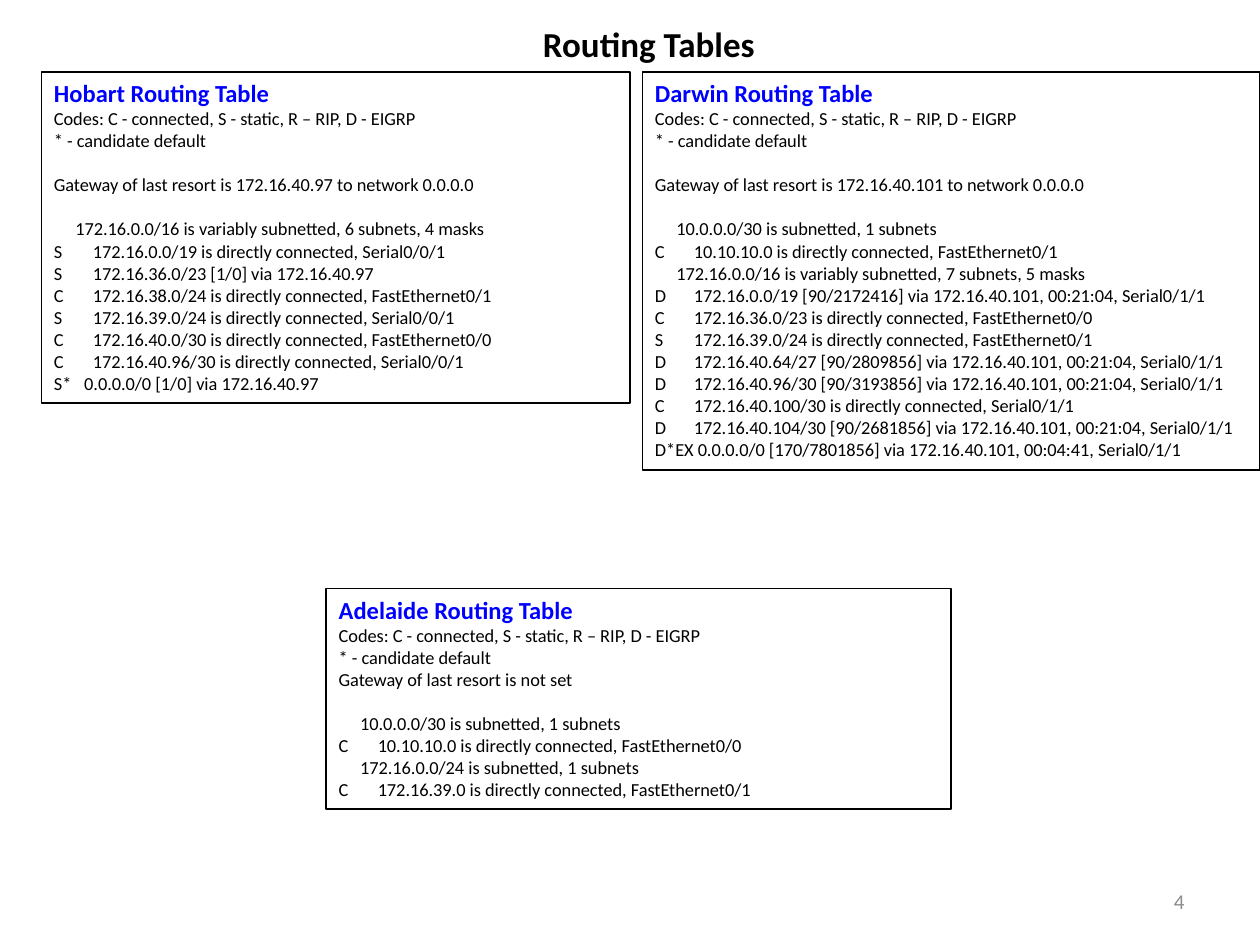
from pptx import Presentation
from pptx.dml.color import RGBColor
from pptx.enum.shapes import MSO_SHAPE
from pptx.enum.text import MSO_ANCHOR, PP_ALIGN
from pptx.util import Inches, Pt

BLACK = RGBColor(0, 0, 0)
BLUE = RGBColor(0, 0, 255)
GREY = RGBColor(0x8C, 0x8C, 0x8C)

TITLE = dict(name="Calibri", size=Pt(20), bold=True)
HEADING = dict(name="Calibri", size=Pt(14), bold=True)
BODY = dict(name="Calibri", size=Pt(10.5), bold=False)
NUMBER = dict(name="Calibri", size=Pt(12))

BLOCK_GAP = Pt(12.6)      # one body line between blocks
SUBNET_INDENT = 0.17
ROUTE_INDENTS = {"S*": 0.24}
ROUTE_INDENT = 0.31

CODES = ["Codes: C - connected, S - static, R – RIP, D - EIGRP", "* - candidate default"]

# Each table: heading, box (left, top, width, height), blocks of lines.
# "code<tab>route" is a route; a leading tab marks a subnet line.
TABLES = [
    ("Darwin Routing Table", (5.1, 0.57, 4.9, 3.16), [
        CODES,
        ["Gateway of last resort is 172.16.40.101 to network 0.0.0.0"],
        ["\t10.0.0.0/30 is subnetted, 1 subnets",
         "C\t10.10.10.0 is directly connected, FastEthernet0/1",
         "\t172.16.0.0/16 is variably subnetted, 7 subnets, 5 masks",
         "D\t172.16.0.0/19 [90/2172416] via 172.16.40.101, 00:21:04, Serial0/1/1",
         "C\t172.16.36.0/23 is directly connected, FastEthernet0/0",
         "S\t172.16.39.0/24 is directly connected, FastEthernet0/1",
         "D\t172.16.40.64/27 [90/2809856] via 172.16.40.101, 00:21:04, Serial0/1/1",
         "D\t172.16.40.96/30 [90/3193856] via 172.16.40.101, 00:21:04, Serial0/1/1",
         "C\t172.16.40.100/30 is directly connected, Serial0/1/1",
         "D\t172.16.40.104/30 [90/2681856] via 172.16.40.101, 00:21:04, Serial0/1/1",
         "D*EX 0.0.0.0/0 [170/7801856] via 172.16.40.101, 00:04:41, Serial0/1/1"],
    ]),
    ("Adelaide Routing Table", (2.59, 4.67, 4.96, 1.75), [
        CODES + ["Gateway of last resort is not set"],
        ["\t10.0.0.0/30 is subnetted, 1 subnets",
         "C\t10.10.10.0 is directly connected, FastEthernet0/0",
         "\t172.16.0.0/24 is subnetted, 1 subnets",
         "C\t172.16.39.0 is directly connected, FastEthernet0/1"],
    ]),
    ("Hobart Routing Table", (0.33, 0.57, 4.67, 2.63), [
        CODES,
        ["Gateway of last resort is 172.16.40.97 to network 0.0.0.0"],
        ["\t172.16.0.0/16 is variably subnetted, 6 subnets, 4 masks",
         "S\t172.16.0.0/19 is directly connected, Serial0/0/1",
         "S\t172.16.36.0/23 [1/0] via 172.16.40.97",
         "C\t172.16.38.0/24 is directly connected, FastEthernet0/1",
         "S\t172.16.39.0/24 is directly connected, Serial0/0/1",
         "C\t172.16.40.0/30 is directly connected, FastEthernet0/0",
         "C\t172.16.40.96/30 is directly connected, Serial0/0/1",
         "S*\t0.0.0.0/0 [1/0] via 172.16.40.97"],
    ]),
]


def write(p, text, style, color, align=PP_ALIGN.LEFT):
    r = p.add_run()
    r.text = text
    for key, value in style.items():
        setattr(r.font, key, value)
    r.font.color.rgb = color
    p.alignment = align


def set_indent(p, left, hanging):
    pPr = p._p.get_or_add_pPr()
    pPr.set("marL", str(Inches(left)))
    pPr.set("indent", str(-Inches(left) if hanging else 0))


def add_line(tf, line):
    p = tf.add_paragraph()
    code, tab, route = line.partition("\t")
    if tab and code:
        set_indent(p, ROUTE_INDENTS.get(code, ROUTE_INDENT), hanging=True)
    elif tab:
        set_indent(p, SUBNET_INDENT, hanging=False)
        line = route
    write(p, line, BODY, BLACK)
    return p


def add_routing_table(slide, heading, box, blocks):
    sp = slide.shapes.add_shape(MSO_SHAPE.RECTANGLE, *map(Inches, box))
    sp.shadow.inherit = False
    sp.fill.background()
    sp.line.color.rgb = BLACK
    sp.line.width = Pt(1)
    tf = sp.text_frame
    tf.word_wrap = True
    tf.vertical_anchor = MSO_ANCHOR.TOP
    write(tf.paragraphs[0], heading, HEADING, BLUE)
    for i, block in enumerate(blocks):
        lines = [add_line(tf, line) for line in block]
        if i:
            lines[0].space_before = BLOCK_GAP


def main():
    prs = Presentation()
    prs.slide_width, prs.slide_height = Inches(10), Inches(7.5)
    slide = prs.slides.add_slide(prs.slide_layouts[5])

    title = slide.shapes.title
    title.left, title.top, title.width, title.height = map(Inches, (0.23, 0.13, 9.84, 0.44))
    title.text_frame.vertical_anchor = MSO_ANCHOR.TOP
    write(title.text_frame.paragraphs[0], "Routing Tables", TITLE, BLACK, PP_ALIGN.CENTER)

    for table in TABLES:
        add_routing_table(slide, *table)

    number = slide.shapes.add_textbox(*map(Inches, (7.17, 6.95, 2.33, 0.4)))
    tf = number.text_frame
    tf.word_wrap = True
    tf.vertical_anchor = MSO_ANCHOR.MIDDLE
    write(tf.paragraphs[0], "4", NUMBER, GREY, PP_ALIGN.RIGHT)

    prs.save("out.pptx")


if __name__ == "__main__":
    main()
